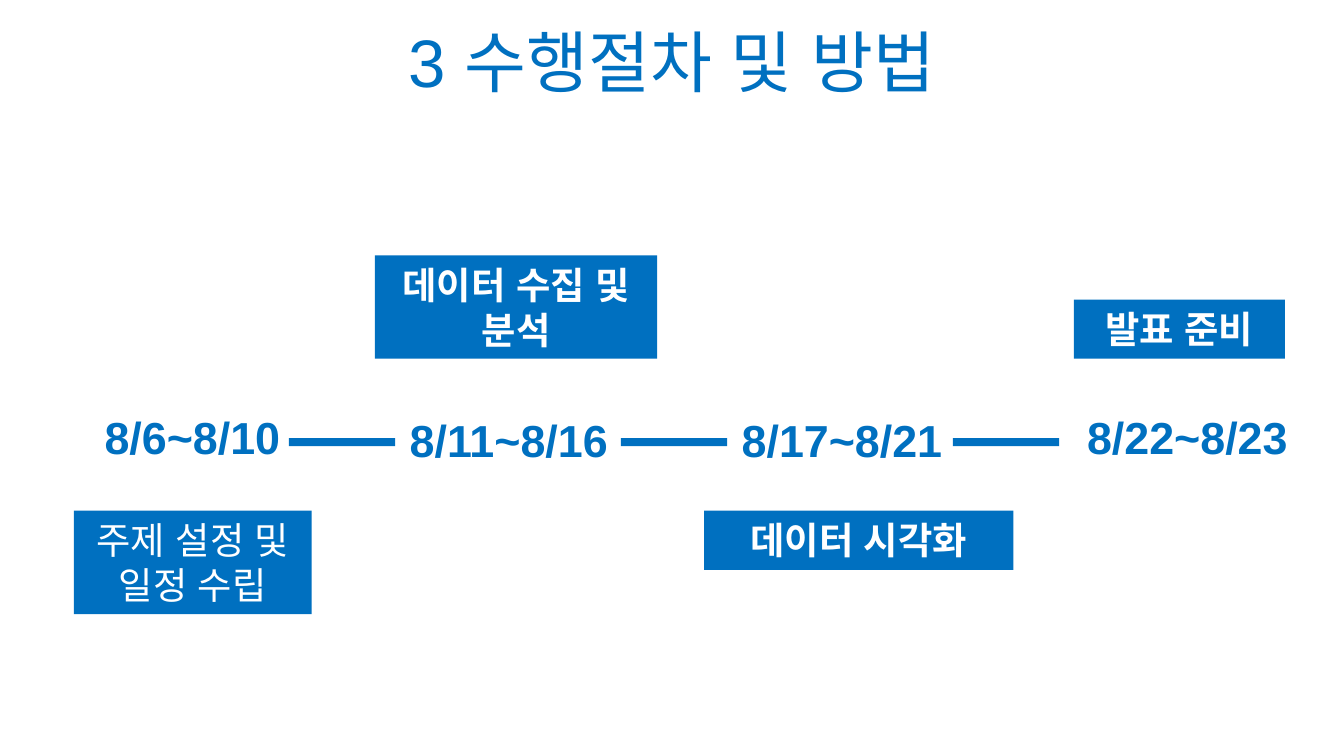
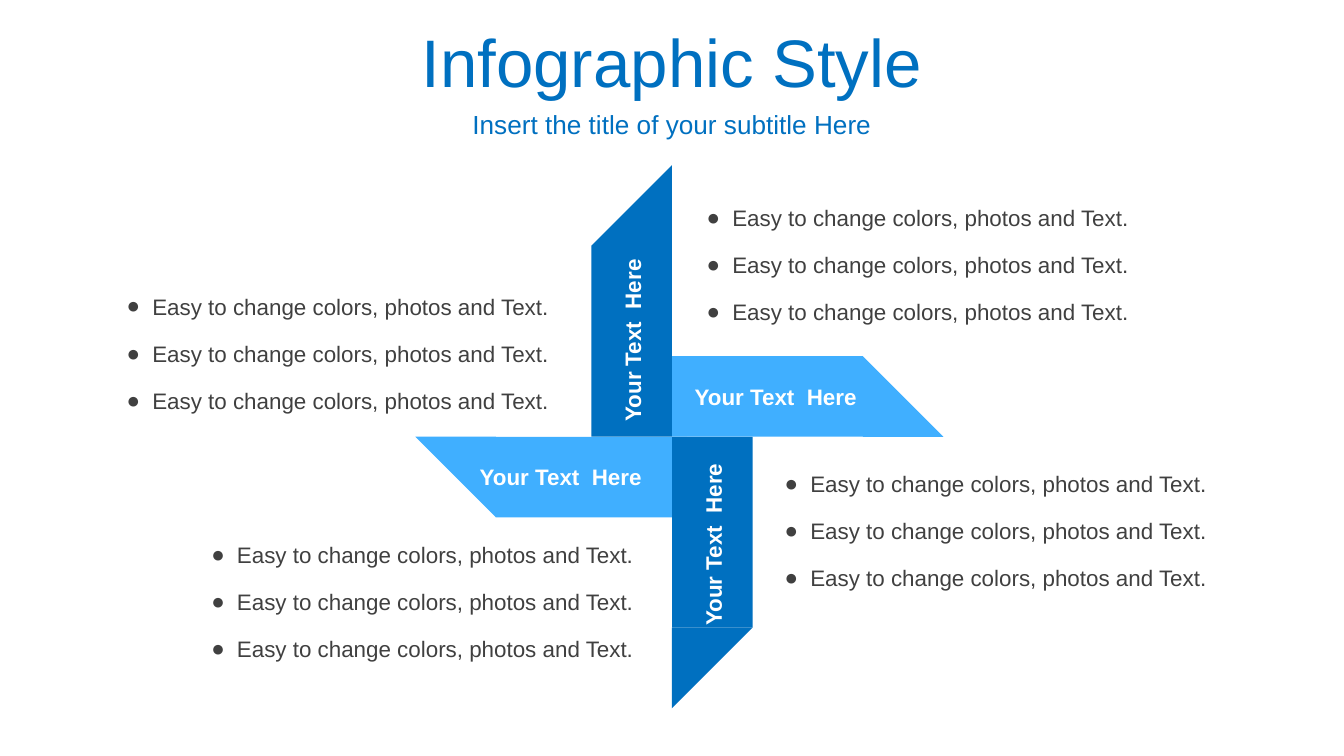
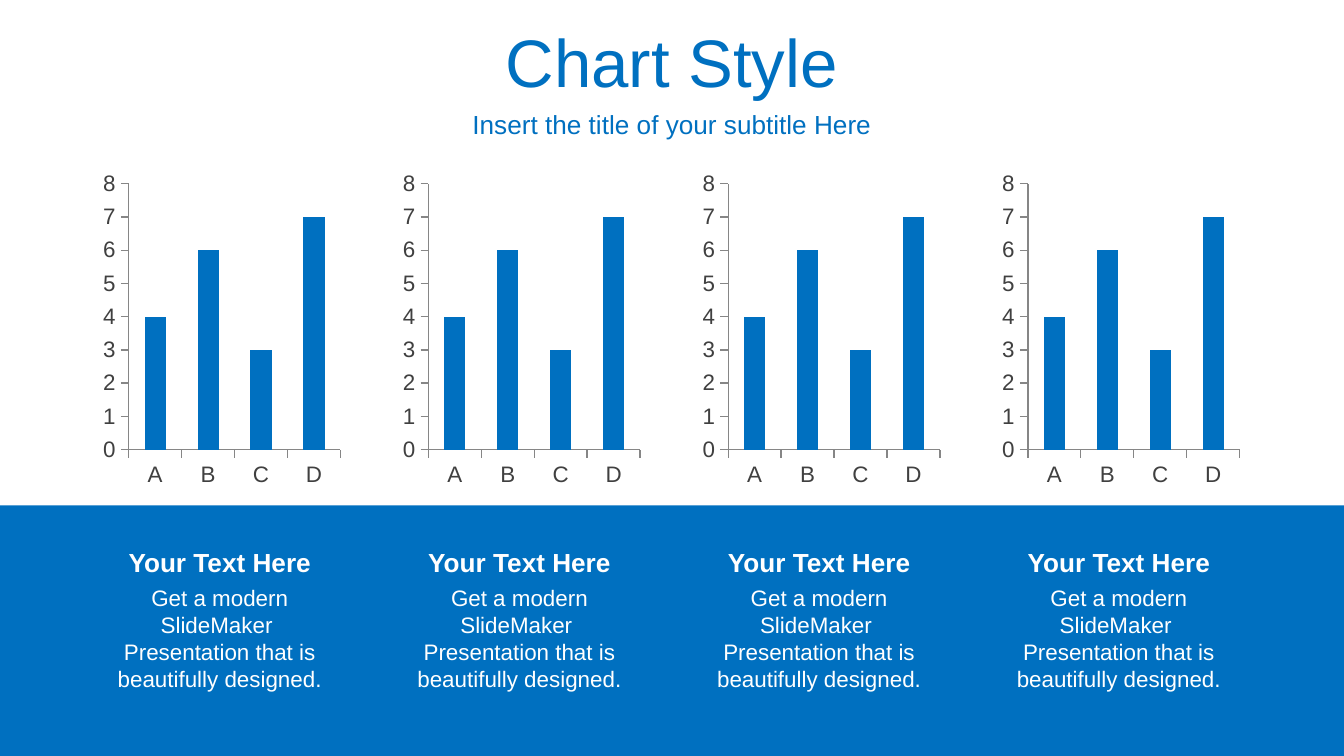
import pptx
import pptx.chart.data
import pptx.dml.color
import pptx.enum.chart
import pptx.enum.shapes
import pptx.enum.text
import pptx.oxml.ns
import pptx.util
from lxml import etree

Inches = pptx.util.Inches
Pt = pptx.util.Pt
KIND = pptx.enum.shapes.MSO_SHAPE
ALIGN = pptx.enum.text.PP_ALIGN
ANCHOR = pptx.enum.text.MSO_ANCHOR

FONT = "Arial"
BLUE, LIGHT, WHITE, DARK, GREY = "0070C0", "40AFFF", "FFFFFF", "404040", "868686"
SUB = "Insert the title of your subtitle Here"

DATES = [
    ("8/6~8/10", 0.68, 3, 1.52),
    ("8/11~8/16", 2.95, 3.02, 1.78),
    ("8/17~8/21", 5.42, 3.02, 1.71),
    ("8/22~8/23", 7.99, 3, 1.71),
]
TASKS = [
    ("주제 설정 및 일정 수립", 0.55, 3.8, 1.77, 0.77, False),
    ("데이터 수집 및 분석", 2.79, 1.9, 2.1, 0.77, True),
    ("데이터 시각화", 5.24, 3.8, 2.3, 0.44, True),
    ("발표 준비", 7.99, 2.23, 1.57, 0.44, True),
]

LABEL = "Your Text  Here"
POINT = "Easy to change colors, photos and Text."
BLADES = [(3, LIGHT, 0.11), (0, BLUE, 0), (1, LIGHT, 0), (2, BLUE, 0)]
LABELS = [(5.07, 2.8, 0), (3.95, 2.33, 270), (4.55, 3.85, 270), (3.47, 3.4, 0)]
LISTS = [
    (5.16, 1.47, "l"),
    (5.74, 3.45, "l"),
    (1.38, 3.98, "r"),
    (0.75, 2.13, "r"),
]

BARS = {"A": 4, "B": 6, "C": 3, "D": 7}
HEAD = "Your Text Here"
BODY = "Get a modern SlideMaker  Presentation that is beautifully designed."
COLS = 4


def color(code):
    return pptx.dml.color.RGBColor.from_string(code)


def child(parent, tag, **attrs):
    return etree.SubElement(parent, pptx.oxml.ns.qn(tag), **attrs)


def style(font, size, code, bold=False):
    font.name = FONT
    font.size = Pt(size)
    font.bold = bold
    font.color.rgb = color(code)


def write(shape, text, size=12, code=WHITE, bold=False, align="c",
          anchor=ANCHOR.TOP, wrap=True, bullet=None):
    frame = shape.text_frame
    frame.word_wrap = wrap
    frame.vertical_anchor = anchor
    para = frame.paragraphs[0]
    para.alignment = {"l": ALIGN.LEFT, "c": ALIGN.CENTER, "r": ALIGN.RIGHT}[align]
    run = para.add_run()
    run.text = text
    style(run.font, size, code, bold)
    for tag in ("a:ea", "a:cs"):
        child(run._r.get_or_add_rPr(), tag, typeface=FONT)
    if bullet:
        props = para._p.get_or_add_pPr()
        props.set("marL", str(Inches(0.19)))
        props.set("indent", str(-Inches(0.19)))
        child(props, "a:buFont", typeface=FONT)
        child(props, "a:buChar", char=bullet)


def label(slide, text, x, y, w, h, turn=0, **form):
    box = slide.shapes.add_textbox(Inches(x), Inches(y), Inches(w), Inches(h))
    box.rotation = turn
    write(box, text, **form)


def block(slide, x, y, w, h, fill=BLUE, kind=KIND.RECTANGLE, turn=0):
    shape = slide.shapes.add_shape(kind, Inches(x), Inches(y), Inches(w), Inches(h))
    shape.shadow.inherit = False
    shape.fill.solid()
    shape.fill.fore_color.rgb = color(fill)
    shape.line.fill.background()
    shape.rotation = turn
    return shape


def start(deck, title, sub=None):
    slide = deck.slides.add_slide(deck.slide_layouts[6])
    label(slide, title, 0, 0.14, 10, 0.63, size=36, code=BLUE, anchor=ANCHOR.MIDDLE)
    if sub:
        label(slide, sub, 0, 0.77, 10, 0.31, size=14, code=BLUE, anchor=ANCHOR.MIDDLE)
    return slide


def steps(deck):
    slide = start(deck, "3 수행절차 및 방법")
    for text, x, y, w in DATES:
        label(slide, text, x, y, w, 0.5, size=24, code=BLUE, bold=True,
              align="l", wrap=w > 1.75)
    for i in range(len(DATES) - 1):
        block(slide, 2.15 + 2.47 * i, 3.26, 0.79, 0.06)
    for text, x, y, w, h, bold in TASKS:
        write(block(slide, x, y, w, h), text, size=20, bold=bold)


def wheel(deck):
    slide = start(deck, "Infographic Style", SUB)
    mid_x, mid_y, wide, long = 5, 3.25, 0.6, 1.42

    def part(quarter, reach, high, fill, kind):
        x, y = -wide / 2, -reach
        for _ in range(quarter):
            x, y = -y, x
        return block(slide, mid_x + x - wide / 2, mid_y + y - high / 2,
                     wide, high, fill, kind, 90 * quarter)

    for quarter, fill, inset in BLADES:
        part(quarter, long / 2 - inset, long, fill, KIND.RECTANGLE)
        tip = part(quarter, long + wide / 2 - inset, wide, fill, KIND.RIGHT_TRIANGLE)
        tip._element.spPr.xfrm.set("flipH", "1")
    for x, y, turn in LABELS:
        label(slide, LABEL, x, y, 1.51, 0.3, turn, bold=True, align="l")
    for x, top, side in LISTS:
        text = POINT + " " if side == "r" else POINT
        for i in range(3):
            label(slide, text, x, top + 0.35 * i, 3.48, 0.3,
                  code=DARK, align=side, bullet="●")


def graph(slide, x):
    data = pptx.chart.data.CategoryChartData()
    data.categories = list(BARS)
    data.add_series("Series 1", list(BARS.values()))
    chart = slide.shapes.add_chart(
        pptx.enum.chart.XL_CHART_TYPE.COLUMN_STACKED,
        Inches(x), Inches(1.23), Inches(1.84), Inches(2.44), data).chart
    chart.has_legend = False
    chart.has_title = False
    style(chart.font, 18, "000000")
    for axis in (chart.category_axis, chart.value_axis):
        axis.has_major_gridlines = False
        axis.major_tick_mark = pptx.enum.chart.XL_TICK_MARK.OUTSIDE
        axis.format.line.color.rgb = color(GREY)
        style(axis.tick_labels.font, 12, DARK)
    chart.value_axis.minimum_scale = 0
    chart.value_axis.maximum_scale = 8
    chart.value_axis.major_unit = 1
    plot = chart.plots[0]
    plot.vary_by_categories = False
    plot.gap_width = 150
    plot.overlap = 100
    fill = plot.series[0].format.fill
    fill.solid()
    fill.fore_color.rgb = color(BLUE)


def charts(deck):
    slide = start(deck, "Chart Style", SUB)
    block(slide, 0, 3.76, 10, 1.87)
    for i in range(COLS):
        x = 0.69 + 2.23 * i
        label(slide, HEAD, x, 4.02, 1.89, 0.34, size=14, bold=True)
        label(slide, BODY, x, 4.3, 1.89, 0.91)
        graph(slide, x + 0.04)


def main():
    deck = pptx.Presentation()
    deck.slide_width = Inches(10)
    deck.slide_height = deck.slide_width * 9 // 16
    steps(deck)
    wheel(deck)
    charts(deck)
    deck.save("out.pptx")


if __name__ == "__main__":
    main()
